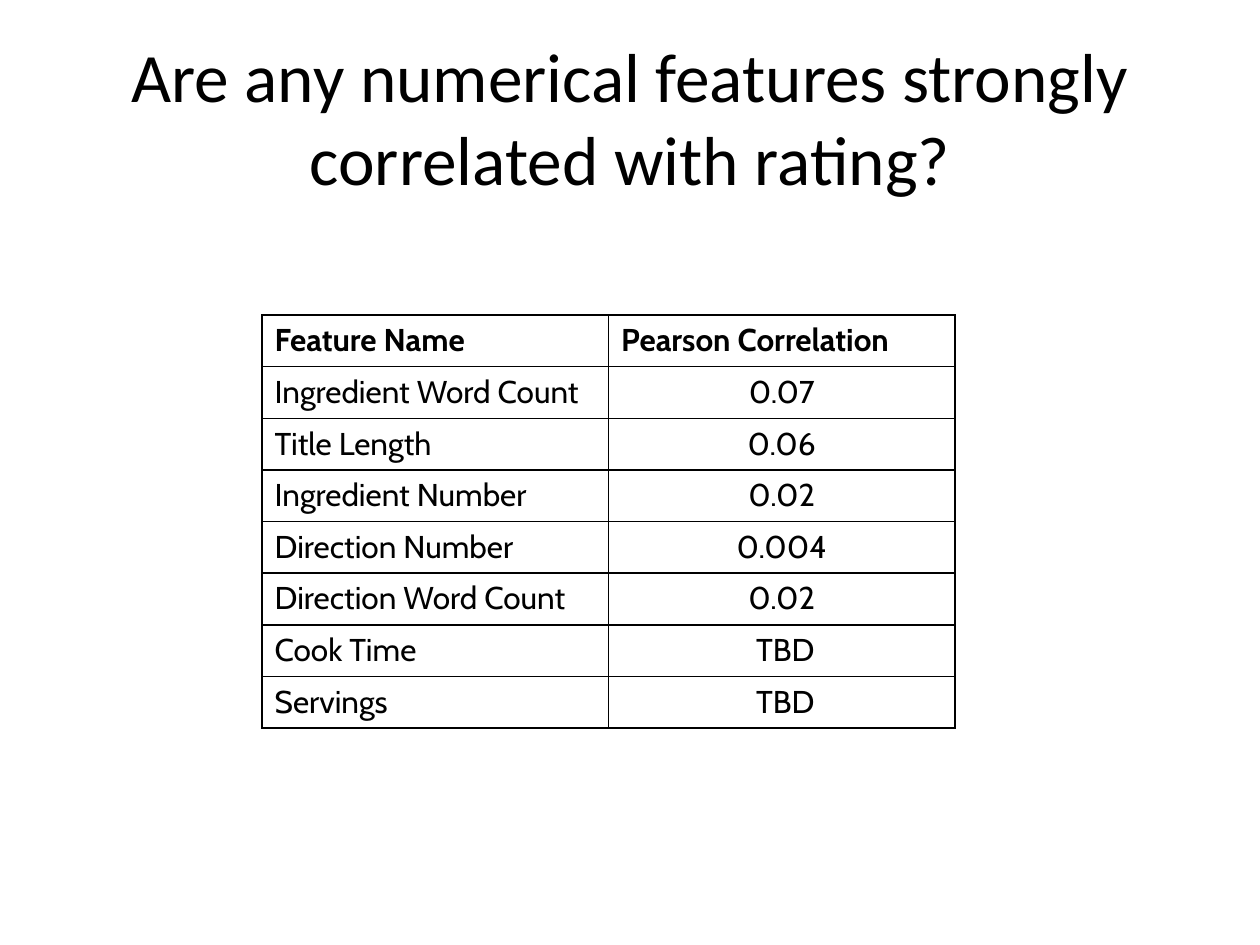
from lxml.etree import SubElement
from pptx import Presentation
from pptx.dml.color import RGBColor
from pptx.enum.text import MSO_ANCHOR as Anchor, PP_ALIGN as Align
from pptx.oxml.ns import qn
from pptx.util import Inches, Pt

TITLE = "Are any numerical features strongly correlated with rating?"
HEADER = ("Feature Name", "Pearson Correlation")
CORRELATIONS = [
    ("Ingredient Word Count", "0.07"),
    ("Title Length", "0.06"),
    ("Ingredient Number", "0.02"),
    ("Direction Number", "0.004"),
    ("Direction Word Count", "0.02"),
    ("Cook Time", " TBD"),
    ("Servings", " TBD"),
]
COLORS = {"text": "000000", "border": "000000"}
COLUMN_WIDTH, ROW_HEIGHT = 2.75, 0.41


def write_text(frame, text, font="Cabin", size=18, bold=False, align=Align.LEFT):
    paragraph = frame.paragraphs[0]
    paragraph.alignment = align
    run = paragraph.add_run()
    run.text = text
    run.font.name = font
    run.font.size = Pt(size)
    run.font.bold = bold
    run.font.color.rgb = RGBColor.from_string(COLORS["text"])


def add_borders(cell, width=1):
    properties = cell._tc.get_or_add_tcPr()
    for position, side in enumerate(("lnL", "lnR", "lnT", "lnB")):
        line = SubElement(properties, qn(f"a:{side}"), w=str(Pt(width)))
        fill = SubElement(line, qn("a:solidFill"))
        SubElement(fill, qn("a:srgbClr"), val=COLORS["border"])
        properties.insert(position, line)  # borders must precede the fill


def add_title(slide):
    box = slide.shapes.add_textbox(Inches(0.5), Inches(0.3), Inches(9), Inches(1.25))
    box.text_frame.word_wrap = True
    box.text_frame.vertical_anchor = Anchor.MIDDLE
    write_text(box.text_frame, TITLE, font="Calibri", size=39.6, align=Align.CENTER)


def add_correlation_table(slide):
    rows = [HEADER, *CORRELATIONS]
    table = slide.shapes.add_table(
        len(rows), len(HEADER), Inches(2.08), Inches(2.5),
        Inches(COLUMN_WIDTH * len(HEADER)), Inches(ROW_HEIGHT * len(rows)),
    ).table
    table.first_row = table.horz_banding = False
    for column in table.columns:
        column.width = Inches(COLUMN_WIDTH)
    for row_index, row in enumerate(rows):
        table.rows[row_index].height = Inches(ROW_HEIGHT)
        is_header = row_index == 0
        for column_index, text in enumerate(row):
            cell = table.cell(row_index, column_index)
            cell.fill.background()
            add_borders(cell)
            centered = column_index == 1 and not is_header
            write_text(cell.text_frame, text, bold=is_header,
                       align=Align.CENTER if centered else Align.LEFT)


def main():
    presentation = Presentation()
    presentation.slide_width, presentation.slide_height = Inches(10), Inches(7.5)
    slide = presentation.slides.add_slide(presentation.slide_layouts[6])
    add_title(slide)
    add_correlation_table(slide)
    presentation.save("out.pptx")


if __name__ == "__main__":
    main()
